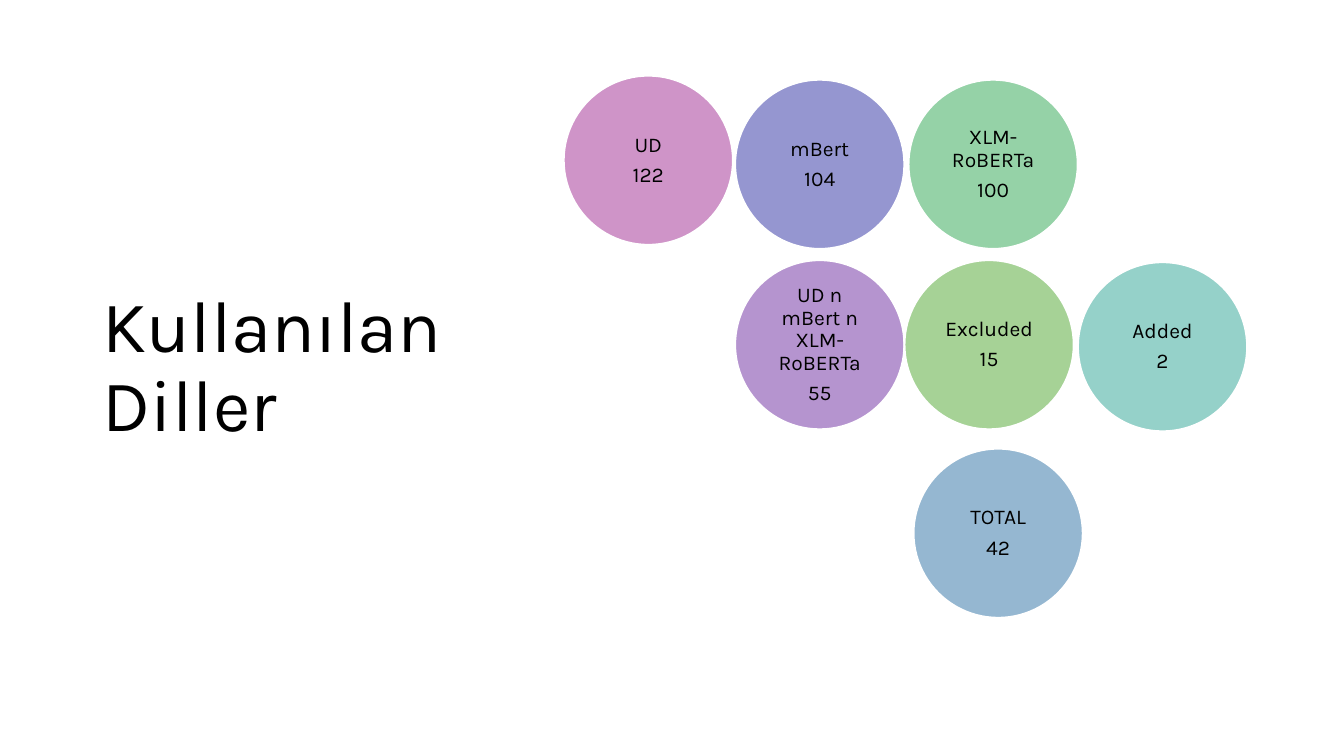
import dataclasses

import lxml.etree
import pptx
import pptx.dml.color
import pptx.enum.shapes
import pptx.enum.text
import pptx.oxml.ns
import pptx.util

Inches = pptx.util.Inches
Pt = pptx.util.Pt
FONT = "Karla"
SIZE = 1.68
COLORS = {
    "black": "000000", "white": "FFFFFF", "pink": "A02B93",
    "purple": "6C2BA1", "indigo": "2C2EA2", "blue": "2C71A4",
    "teal": "2DA594", "green": "2DA651", "lime": "4EA72E",
}


@dataclasses.dataclass
class Circle:
    label: str
    count: int
    left: float
    top: float
    color: str


CIRCLES = [
    Circle("UD", 122, 5.59, 0.75, "pink"),
    Circle("UD n mBert n XLM-RoBERTa", 55, 7.29, 2.58, "purple"),
    Circle("mBert", 104, 7.29, 0.79, "indigo"),
    Circle("TOTAL", 42, 9.06, 4.45, "blue"),
    Circle("Added", 2, 10.69, 2.6, "teal"),
    Circle("XLM-RoBERTa", 100, 9.01, 0.79, "green"),
    Circle("Excluded", 15, 8.97, 2.58, "lime"),
]


def color(name: str) -> pptx.dml.color.RGBColor:
    return pptx.dml.color.RGBColor.from_string(COLORS[name])


def write(para, text: str, size: float) -> None:
    para.line_spacing = 0.9
    run = para.add_run()
    run.text = text
    run.font.name = FONT
    run.font.size = Pt(size)
    run.font.color.rgb = color("black")


def draw_title(slide, text: str) -> None:
    box = slide.shapes.add_textbox(Inches(0.92), Inches(0.61), Inches(3.69), Inches(6.09))
    frame = box.text_frame
    frame.word_wrap = True
    frame.vertical_anchor = pptx.enum.text.MSO_ANCHOR.MIDDLE
    write(frame.paragraphs[0], text, 52)


def draw_circle(slide, item: Circle) -> None:
    shape = slide.shapes.add_shape(
        pptx.enum.shapes.MSO_SHAPE.OVAL,
        Inches(item.left), Inches(item.top), Inches(SIZE), Inches(SIZE))
    shape.shadow.inherit = False
    shape.fill.solid()
    shape.fill.fore_color.rgb = color(item.color)
    shape.line.color.rgb = color("white")
    shape.line.width = Pt(1.5)

    # Half transparent fill
    qn = pptx.oxml.ns.qn
    fill = shape.fill._xPr.find(qn("a:solidFill"))
    lxml.etree.SubElement(fill[0], qn("a:alpha"), val="50000")

    # Label above its count
    frame = shape.text_frame
    frame.word_wrap = True
    frame.vertical_anchor = pptx.enum.text.MSO_ANCHOR.MIDDLE
    frame.margin_left = frame.margin_right = Inches(0.06)
    frame.margin_top = frame.margin_bottom = Inches(0.06)
    for para, text in ((frame.paragraphs[0], item.label),
                       (frame.add_paragraph(), str(item.count))):
        para.alignment = pptx.enum.text.PP_ALIGN.CENTER
        para.space_after = Pt(5.25)
        write(para, text, 15)


def main() -> None:
    deck = pptx.Presentation()
    deck.slide_width = Inches(13.33)
    deck.slide_height = Inches(7.5)
    slide = deck.slides.add_slide(deck.slide_layouts[6])
    draw_title(slide, "Kullanılan Diller")
    for item in CIRCLES:
        draw_circle(slide, item)
    deck.save("out.pptx")


if __name__ == "__main__":
    main()
